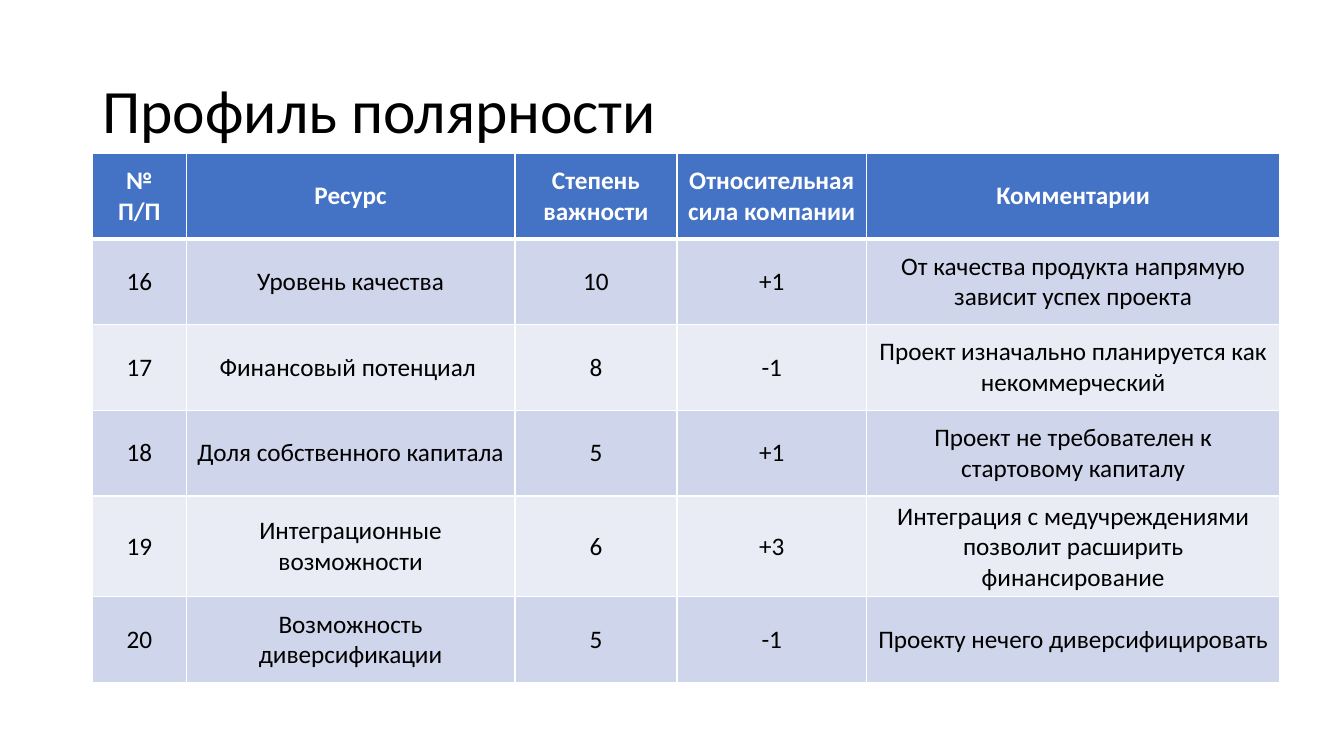
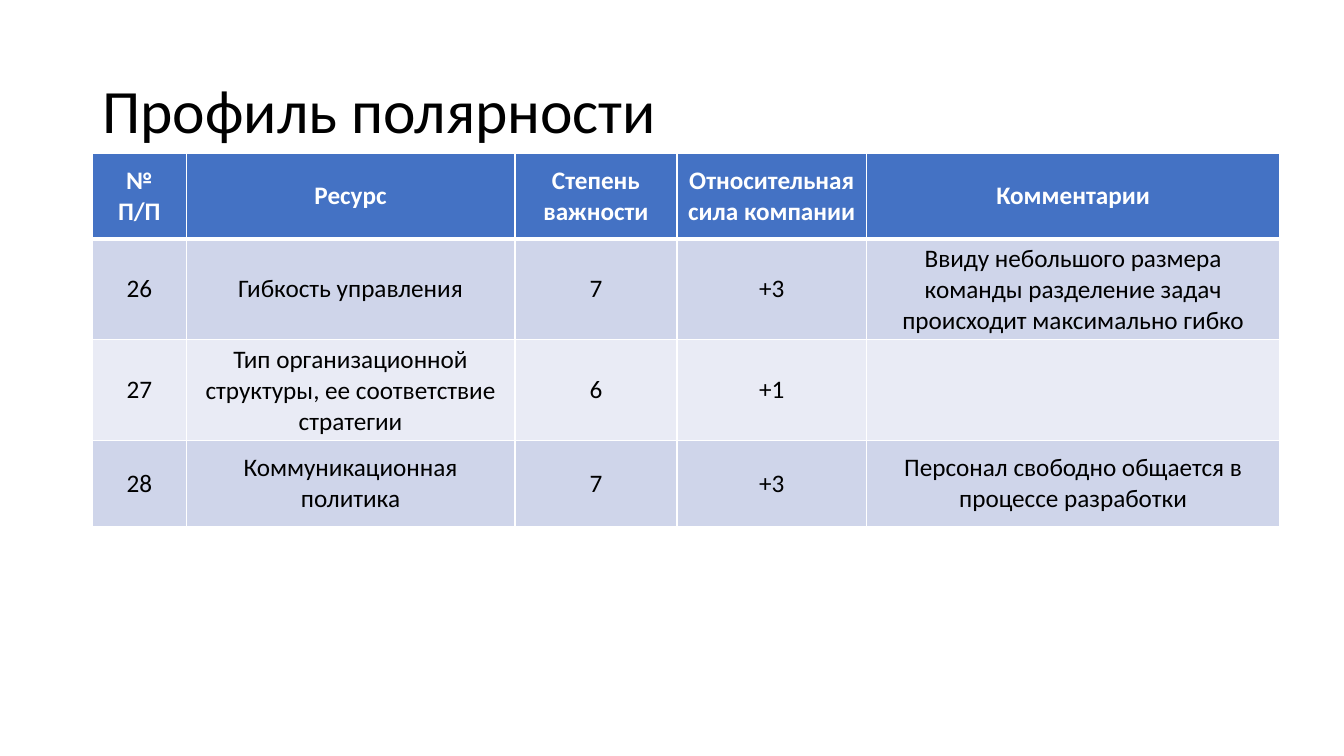
from lxml import etree
from pptx import Presentation
from pptx.dml.color import RGBColor
from pptx.enum.text import MSO_ANCHOR, PP_ALIGN
from pptx.oxml.ns import qn
from pptx.util import Cm, Pt

MIDDLE = MSO_ANCHOR.MIDDLE
CENTER = PP_ALIGN.CENTER
BLANK_LAYOUT = 6

FONT = "Calibri"
COLORS = {
    "text": "000000",
    "header_text": "FFFFFF",
    "header": "4472C4",
    "odd_row": "CFD5EA",
    "even_row": "E9EBF5",
    "border": "FFFFFF",
}

TITLE = "Профиль полярности"
HEADER = ("№ П/П", "Ресурс", "Степень важности", "Относительная сила компании", "Комментарии")
SLIDES = [
    [
        ("16", "Уровень качества", "10", "+1", "От качества продукта напрямую зависит успех проекта"),
        ("17", "Финансовый потенциал ", "8", "-1", "Проект изначально планируется как некоммерческий"),
        ("18", "Доля собственного капитала", "5", "+1", "Проект не требователен к стартовому капиталу"),
        ("19", "Интеграционные возможности", "6", "+3",
         "Интеграция с медучреждениями позволит расширить финансирование"),
        ("20", "Возможность диверсификации", "5", "-1", "Проекту нечего диверсифицировать"),
    ],
    [
        ("26", "Гибкость управления", "7", "+3",
         "Ввиду небольшого размера команды разделение задач происходит максимально гибко"),
        ("27", "Тип организационной структуры, ее соответствие стратегии", "6", "+1", ""),
        ("28", "Коммуникационная политика", "7", "+3", "Персонал свободно общается в процессе разработки"),
    ],
]

LEFT = Cm(2.33)
TITLE_TOP, TITLE_WIDTH, TITLE_HEIGHT = Cm(1.01), Cm(29.21), Cm(3.68)
TABLE_TOP, ROW_HEIGHT = Cm(3.86), Cm(2.16)
COLUMN_WIDTHS = [Cm(width) for width in (2.36, 8.29, 4.08, 4.78, 10.41)]
THIN, THICK = Pt(1), Pt(3)


def color(name):
    return RGBColor.from_string(COLORS[name])


def style_font(font, size, color_name, bold=False):
    font.name = FONT
    font.size = Pt(size)
    font.bold = bold
    font.color.rgb = color(color_name)


def add_title(page):
    box = page.shapes.add_textbox(LEFT, TITLE_TOP, TITLE_WIDTH, TITLE_HEIGHT)
    frame = box.text_frame
    frame.word_wrap = True
    frame.vertical_anchor = MIDDLE
    para = frame.paragraphs[0]
    para.text = TITLE
    para.line_spacing = 0.9
    style_font(para.font, 44, "text")


def set_borders(cell, top, bottom):
    """Draw all four cell borders; call before the fill, which must follow them in the XML."""
    properties = cell._tc.get_or_add_tcPr()
    for side, width in (("L", THIN), ("R", THIN), ("T", top), ("B", bottom)):
        line = etree.SubElement(properties, qn(f"a:ln{side}"), w=str(width))
        fill = etree.SubElement(line, qn("a:solidFill"))
        etree.SubElement(fill, qn("a:srgbClr"), val=COLORS["border"])


def fill_cell(cell, text, row_index):
    is_header = row_index == 0
    set_borders(cell, THICK if row_index == 1 else THIN, THICK if is_header else THIN)
    cell.fill.solid()
    band = "header" if is_header else "odd_row" if row_index % 2 else "even_row"
    cell.fill.fore_color.rgb = color(band)
    cell.vertical_anchor = MIDDLE
    para = cell.text_frame.paragraphs[0]
    para.text = text
    para.alignment = CENTER
    style_font(para.font, 18, "header_text" if is_header else "text", is_header)


def add_resource_table(page, resources):
    rows = [HEADER, *resources]
    table = page.shapes.add_table(
        len(rows), len(HEADER), LEFT, TABLE_TOP, sum(COLUMN_WIDTHS), ROW_HEIGHT * len(rows)
    ).table
    for column, width in zip(table.columns, COLUMN_WIDTHS):
        column.width = width
    for row_index, row in enumerate(rows):
        table.rows[row_index].height = ROW_HEIGHT
        for column_index, text in enumerate(row):
            fill_cell(table.cell(row_index, column_index), text, row_index)


def main():
    deck = Presentation()
    deck.slide_width, deck.slide_height = Cm(33.87), Cm(19.05)
    for resources in SLIDES:
        page = deck.slides.add_slide(deck.slide_layouts[BLANK_LAYOUT])
        add_title(page)
        add_resource_table(page, resources)
    deck.save("out.pptx")


if __name__ == "__main__":
    main()
